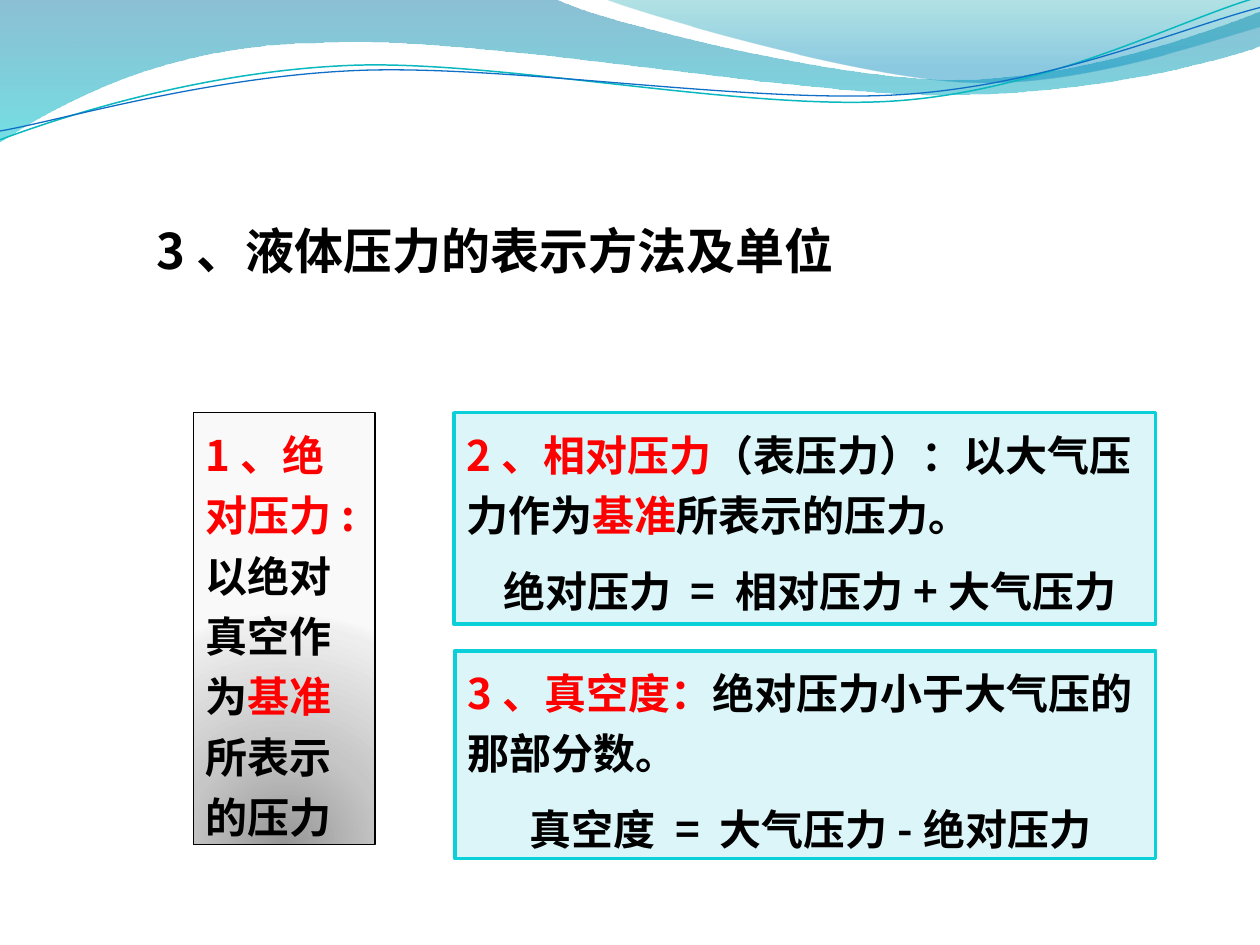
from dataclasses import dataclass
from typing import Optional

from lxml import etree
from pptx import Presentation
from pptx.dml.color import RGBColor
from pptx.enum.shapes import MSO_SHAPE as Shp
from pptx.enum.text import MSO_ANCHOR as Anchor, MSO_AUTO_SIZE as AutoSize, PP_ALIGN as Align
from pptx.oxml import parse_xml
from pptx.oxml.ns import nsdecls, qn
from pptx.util import Cm, Pt

FONT = "Noto Sans CJK SC"
CM_PER_UNIT = 2.54
COLORS = {
    "text": "000000", "key": "FF0000", "panel": "DBF5F9", "edge": "0BD0D9",
    "teal": "0AB8BF", "blue": "0F6FC6",
}
LINEAR = '<a:lin ang="5400000" scaled="1"/>'
RADIAL = '<a:path path="circle"><a:fillToRect l="50000" t="130000" r="50000" b="-30000"/></a:path>'

Stop = tuple[int, str, int]
Point = tuple[float, float]
Run = tuple[str, str]


@dataclass
class Wave:
    start: Point
    segments: list[tuple[float, ...]]
    stops: Optional[list[Stop]] = None
    line: str = ""
    width: float = 0


@dataclass
class Para:
    runs: list[Run]
    spacing: float
    align: Align = Align.LEFT
    indent: float = 0


@dataclass
class Panel:
    left: float
    top: float
    width: float
    height: float
    line: str
    line_width: float
    paras: list[Para]
    stops: Optional[list[Stop]] = None


WAVES = [
    Wave((0, -0.01), [
        (4.4, -0.01),
        (4.76, 0.17, 6.64, 0.63, 7.58, 0.63),
        (8.53, 0.63, 9.58, 0.26, 10, 0.09),
        (10.01, 0.36),
        (9.83, 0.44, 8.7, 0.76, 7.46, 0.75),
        (6.22, 0.75, 3.82, 0.28, 2.57, 0.34),
        (1.29, 0.35, 0.46, 0.83, -0.01, 1.13),
    ], [(0, "0074A1", 45), (100, "00C6CF", 55)]),
    Wave((4.79, -0.01), [
        (5.09, 0.11, 6.82, 0.62, 7.69, 0.65),
        (8.56, 0.69, 9.61, 0.32, 10, 0.21),
        (10, 0),
    ], [(0, "00A1A9", 30), (80, "008BBF", 45)]),
    Wave((0, 1.11), [
        (0.48, 0.93, 1.58, 0.57, 2.77, 0.52),
        (3.95, 0.47, 5.93, 0.89, 7.13, 0.8),
        (8.33, 0.71, 9.38, 0.15, 9.98, -0.02),
    ], line="teal", width=0.85),
    Wave((0, 1.04), [
        (0.47, 0.96, 1.64, 0.61, 2.83, 0.56),
        (4.03, 0.51, 5.97, 0.83, 7.17, 0.75),
        (8.36, 0.67, 9.41, 0.21, 10, 0.06),
    ], line="blue", width=0.75),
]

BODY, FORMULA = 34.55, 43.2
PANELS = [
    Panel(9.17, 13.12, 14.13, 4.19, "edge", 2, [
        Para([("3、真空度：", "key"), ("绝对压力小于大气压的那部分数。", "text")], BODY),
        Para([("真空度 = 大气压力-绝对压力", "text")], FORMULA, Align.CENTER, 0.2),
    ]),
    Panel(3.9, 8.32, 3.66, 8.71, "text", 0.75, [
        Para([("1、绝对压力:", "key"), ("以绝对真空作为", "text"), ("基准", "key"),
              ("所表示的压力", "text")], BODY),
    ], [(0, "979797", 100), (43, "C6C6C6", 100), (93, "EEEEEE", 100), (100, "F9F9F9", 100)]),
    Panel(9.15, 8.32, 14.15, 4.26, "edge", 2, [
        Para([("2、相对压力", "key"), ("（表压力）：以大气压力作为", "text"), ("基准", "key"),
              ("所表示的压力。", "text")], BODY),
        Para([("绝对压力 = 相对压力+大气压力", "text")], FORMULA, Align.CENTER, 0.2),
    ]),
]


def rgb(name: str) -> RGBColor:
    return RGBColor.from_string(COLORS[name])


def set_gradient(sp, stops: list[Stop], direction: str) -> None:
    marks = "".join(
        f'<a:gs pos="{pos * 1000}"><a:srgbClr val="{color}">'
        f'<a:alpha val="{opacity * 1000}"/></a:srgbClr></a:gs>'
        for pos, color, opacity in stops)
    sp.fill.background()
    old = sp._element.spPr.find(qn("a:noFill"))
    sp._element.spPr.replace(old, parse_xml(
        f'<a:gradFill {nsdecls("a")} rotWithShape="1"><a:gsLst>{marks}</a:gsLst>{direction}</a:gradFill>'))


def to_emu(x: float, y: float) -> tuple[int, int]:
    return Cm(x * CM_PER_UNIT), Cm(y * CM_PER_UNIT)


def bend_segments(sp, segments: list[tuple[float, ...]]) -> None:
    straight = list(sp._element.iter(qn("a:lnTo")))
    for line, segment in zip(straight, segments):
        if len(segment) == 2:
            continue
        line.tag = qn("a:cubicBezTo")
        for i, start in enumerate((0, 2)):
            x, y = to_emu(*segment[start:start + 2])
            pt = etree.Element(qn("a:pt"), x=str(x - sp.left), y=str(y - sp.top))
            line.insert(i, pt)


def draw_wave(s, wave: Wave) -> None:
    builder = s.shapes.build_freeform(*to_emu(*wave.start))
    builder.add_line_segments([to_emu(*seg[-2:]) for seg in wave.segments],
                              close=wave.stops is not None)
    sp = builder.convert_to_shape()
    bend_segments(sp, wave.segments)
    sp.shadow.inherit = False
    if wave.stops:
        set_gradient(sp, wave.stops, LINEAR)
        sp.line.fill.background()
    else:
        sp.fill.background()
        sp.line.color.rgb = rgb(wave.line)
        sp.line.width = Pt(wave.width)


def add_run(p, text: str, size: float, color: str) -> None:
    r = p.add_run()
    r.text = text
    r.font.size = Pt(size)
    r.font.bold = True
    r.font.name = FONT
    r.font.color.rgb = rgb(color)
    ea = etree.SubElement(r.font._element, qn("a:ea"))
    ea.set("typeface", FONT)


def prepare_frame(tf) -> None:
    tf.word_wrap = True
    tf.auto_size = AutoSize.NONE
    tf.vertical_anchor = Anchor.TOP
    tf.margin_left = tf.margin_right = Cm(0.25)
    tf.margin_top = tf.margin_bottom = Cm(0.13)


def draw_panel(s, panel: Panel) -> None:
    sp = s.shapes.add_shape(Shp.RECTANGLE, Cm(panel.left), Cm(panel.top),
                            Cm(panel.width), Cm(panel.height))
    sp.shadow.inherit = False
    if panel.stops:
        set_gradient(sp, panel.stops, RADIAL)
    else:
        sp.fill.solid()
        sp.fill.fore_color.rgb = rgb("panel")
    sp.line.color.rgb = rgb(panel.line)
    sp.line.width = Pt(panel.line_width)
    tf = sp.text_frame
    prepare_frame(tf)
    for i, para in enumerate(panel.paras):
        p = tf.add_paragraph() if i else tf.paragraphs[0]
        p.alignment = para.align
        p.line_spacing = Pt(para.spacing)
        if para.indent:
            p._p.get_or_add_pPr().set("marL", str(Cm(para.indent)))
        for text, color in para.runs:
            add_run(p, text, 24, color)


def draw_title(s, text: str) -> None:
    sp = s.shapes.title
    sp.left, sp.top, sp.width, sp.height = Cm(2.9), Cm(4.32), Cm(19), Cm(1.9)
    prepare_frame(sp.text_frame)
    p = sp.text_frame.paragraphs[0]
    p.alignment = Align.LEFT
    add_run(p, text, 28, "text")


def main() -> None:
    prs = Presentation()
    prs.slide_width, prs.slide_height = Cm(25.4), Cm(19.05)
    s = prs.slides.add_slide(prs.slide_layouts[5])
    for wave in WAVES:
        draw_wave(s, wave)
    draw_title(s, "3、液体压力的表示方法及单位")
    for panel in PANELS:
        draw_panel(s, panel)
    prs.save("out.pptx")


if __name__ == "__main__":
    main()
